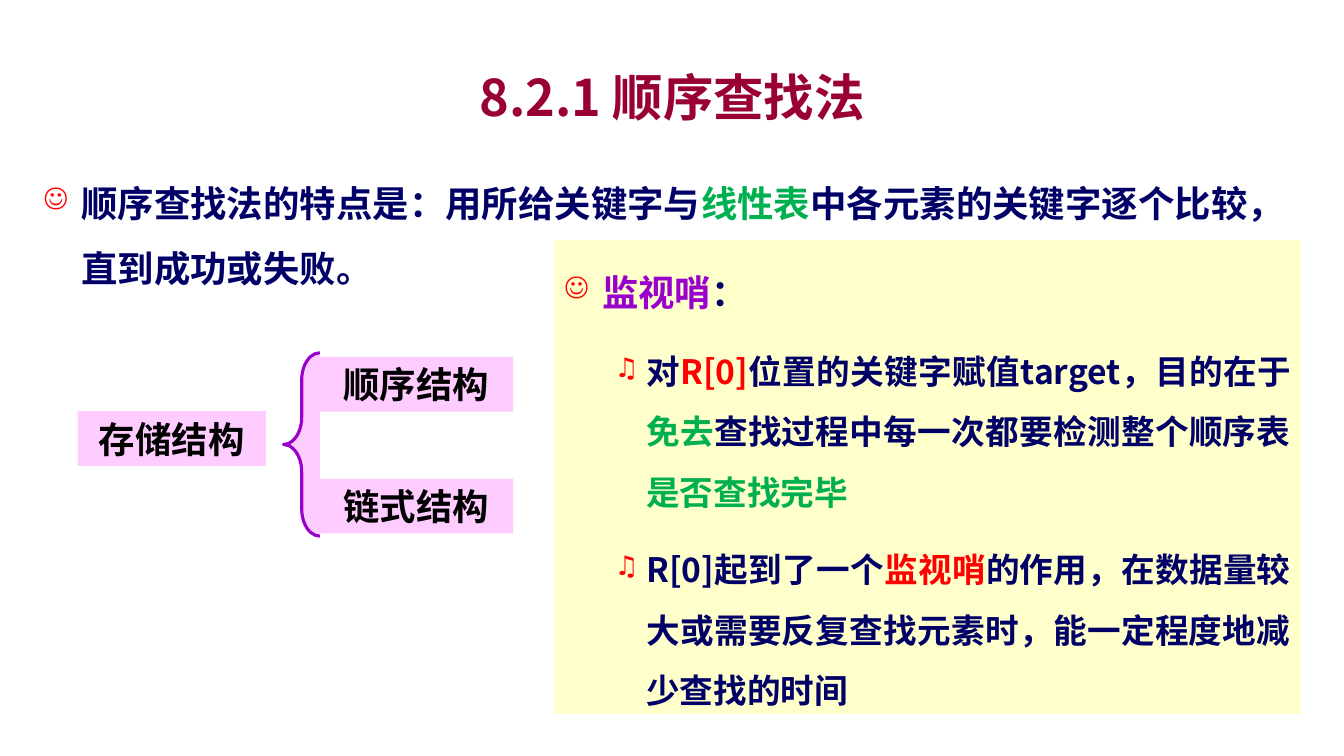
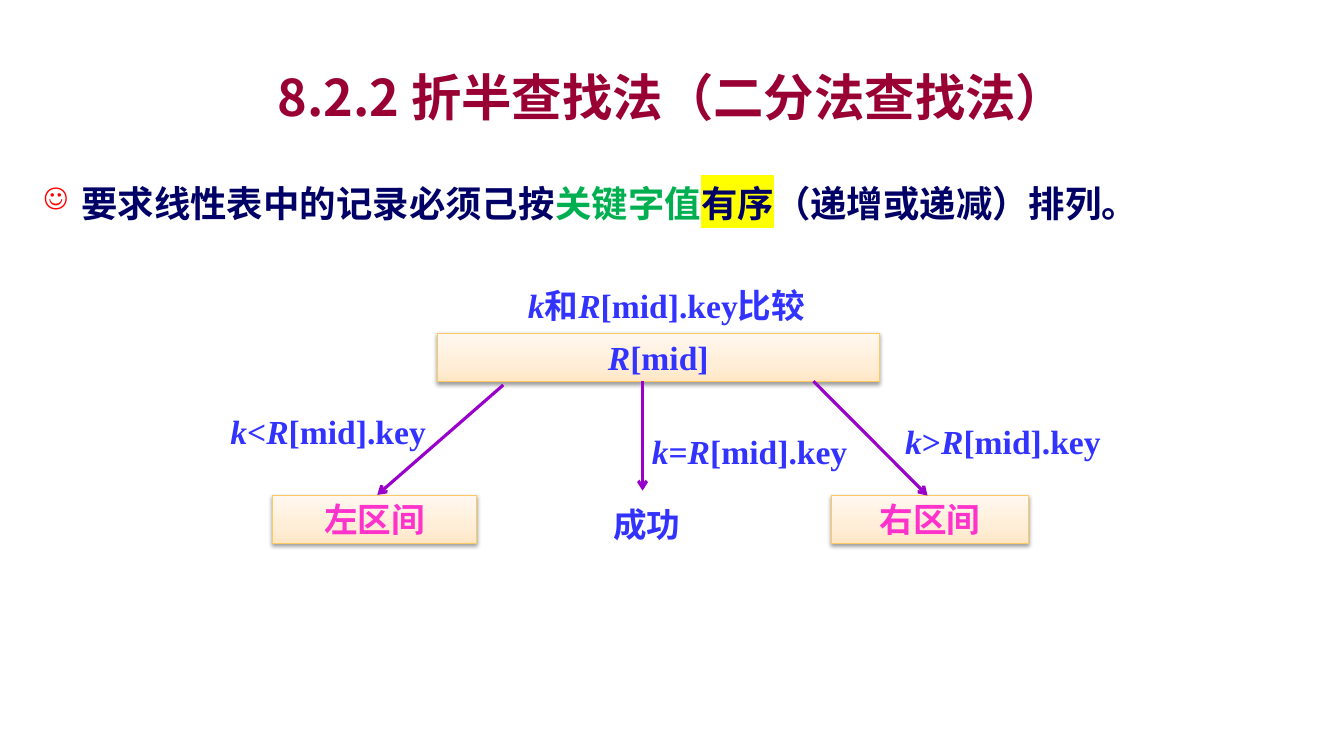
from lxml.etree import SubElement
from pptx import Presentation
from pptx.dml.color import RGBColor
from pptx.enum.shapes import MSO_CONNECTOR, MSO_SHAPE
from pptx.enum.text import MSO_ANCHOR, PP_ALIGN
from pptx.oxml.ns import qn
from pptx.util import Pt

SANS, SERIF = "Noto Sans CJK SC", "Times New Roman"
NAVY, GREEN, RED, PURPLE = "000066", "00B050", "FF0000", "9900CC"
CRIMSON, BLUE, MAGENTA, BLACK = "990033", "3333FF", "FF33CC", "000000"
PINK, CREAM, WHITE, YELLOW, GOLD = "FFCCFF", "FFFFCC", "FFFFFF", "FFFF00", "FDC960"
GRADIENT = ((0, "FFE7C6"), (35, "FFEED7"), (100, "FFF8F0"))


def color(value):
    """Turn a hex string into a colour."""
    return RGBColor.from_string(value)


def element(parent, tag, **attributes):
    """Append a drawing element whose attributes are given as keywords."""
    return SubElement(parent, qn(tag), {key: str(value) for key, value in attributes.items()})


def text(words, **style):
    """Pair words with their format."""
    return words, style


def add_span(paragraph, words, size=26, font=SANS, fill=NAVY, italic=False, highlight=None):
    """Add one formatted bold span to a paragraph."""
    span = paragraph.add_run()
    span.text = words
    span.font.size, span.font.name = Pt(size), font
    span.font.bold, span.font.italic = True, italic
    span.font.color.rgb = color(fill)
    properties = span.font._element
    east_asian = element(properties, "a:ea", typeface=SANS)
    properties.find(qn("a:latin")).addnext(east_asian)
    if highlight:
        marker = element(properties, "a:highlight")
        element(marker, "a:srgbClr", val=highlight)
        properties.find(qn("a:solidFill")).addnext(marker)


def formula(start, *parts):
    """Alternate italic and upright serif spans."""
    return [text(words, size=24, font=SERIF, fill=BLUE, italic=index % 2 == 0)
            for index, words in enumerate((start, *parts))]


class Lecture:
    """Hold the deck style and the current page."""

    def __init__(self):
        """Open a wide deck."""
        self.deck = Presentation()
        self.deck.slide_width, self.deck.slide_height = Pt(960), Pt(540)
        self.page = None

    def new_page(self, title):
        """Start a blank page with its title."""
        self.page = self.deck.slides.add_slide(self.deck.slide_layouts[6])
        self.label(72, 42, 816, 54, [text(title, size=36, fill=CRIMSON)], PP_ALIGN.CENTER)

    def fill_frame(self, box, spans, align, inset=(7.2, 3.6)):
        """Write one paragraph in the middle of a box."""
        frame = box.text_frame
        frame.word_wrap, frame.vertical_anchor = True, MSO_ANCHOR.MIDDLE
        frame.margin_left = frame.margin_right = Pt(inset[0])
        frame.margin_top = frame.margin_bottom = Pt(inset[1])
        frame.paragraphs[0].alignment = align
        for words, style in spans:
            add_span(frame.paragraphs[0], words, **style)

    def label(self, left, top, width, height, spans, align=PP_ALIGN.LEFT):
        """Place a plain text box."""
        box = self.page.shapes.add_textbox(Pt(left), Pt(top), Pt(width), Pt(height))
        self.fill_frame(box, spans, align)

    def shape(self, kind, left, top, width, height, fill, line=None, weight=2.25):
        """Place a flat preset shape."""
        box = self.page.shapes.add_shape(kind, Pt(left), Pt(top), Pt(width), Pt(height))
        box.shadow.inherit = False
        box.fill.solid()
        box.fill.fore_color.rgb = color(fill)
        if line:
            box.line.color.rgb = color(line)
            box.line.width = Pt(weight)
        else:
            box.line.fill.background()
        return box

    def node(self, left, top, width, words):
        """Place a pink box with a centred name."""
        box = self.shape(MSO_SHAPE.RECTANGLE, left, top, width, 39, PINK)
        self.fill_frame(box, [text(words, fill=BLACK)], PP_ALIGN.CENTER, (7.2, 0))

    def brace(self, left, top, width, height):
        """Place a left brace."""
        brace = self.shape(MSO_SHAPE.LEFT_BRACE, left, top, width, height, PINK, PURPLE)
        brace.adjustments[0] = 0.75

    def card(self, left, top, width, spans):
        """Place a shaded box with a gradient and a soft shadow."""
        box = self.shape(MSO_SHAPE.RECTANGLE, left, top, width, 34, WHITE, GOLD, 0.75)
        properties = box._element.spPr
        gradient = element(properties, "a:gradFill", rotWithShape=1)
        stops = element(gradient, "a:gsLst")
        for position, tint in GRADIENT:
            element(element(stops, "a:gs", pos=position * 1000), "a:srgbClr", val=tint)
        element(gradient, "a:lin", ang=270 * 60000, scaled=0)
        properties.replace(properties.find(qn("a:solidFill")), gradient)
        shadow = element(properties.find(qn("a:effectLst")), "a:outerShdw", blurRad=Pt(3.1),
                         dist=Pt(1.6), dir=90 * 60000, rotWithShape=0)
        element(element(shadow, "a:srgbClr", val=BLACK), "a:alpha", val=38000)
        self.fill_frame(box, spans, PP_ALIGN.CENTER, (7.2, 0))

    def arrow(self, start, end):
        """Draw a purple arrow between two points."""
        points = [Pt(value) for value in (*start, *end)]
        arrow = self.page.shapes.add_connector(MSO_CONNECTOR.STRAIGHT, *points)
        arrow.line.color.rgb, arrow.line.width = color(PURPLE), Pt(2.25)
        properties = arrow._element.spPr
        element(properties.find(qn("a:ln")), "a:tailEnd", type="arrow")
        element(properties, "a:effectLst")

    def bullets(self, left, top, width, height, items, fill=None):
        """Write a bulleted list of (level, spans) items."""
        if fill:
            box = self.shape(MSO_SHAPE.RECTANGLE, left, top, width, height, fill)
        else:
            box = self.page.shapes.add_textbox(Pt(left), Pt(top), Pt(width), Pt(height))
        frame = box.text_frame
        frame.word_wrap, frame.vertical_anchor = True, MSO_ANCHOR.TOP
        frame.margin_top = Pt(6)
        for index, (level, spans) in enumerate(items):
            paragraph = frame.add_paragraph() if index else frame.paragraphs[0]
            mark, indent, hanging, pitch, align = (
                ("♫", 58.5, 22.5, 43.25, PP_ALIGN.JUSTIFY) if level
                else ("☺", 27, 27, 46.5, PP_ALIGN.LEFT))
            properties = paragraph._p.get_or_add_pPr()
            properties.set("marL", str(Pt(indent)))
            properties.set("indent", str(-Pt(hanging)))
            element(element(properties, "a:buClr"), "a:srgbClr", val=RED)
            element(properties, "a:buSzPct", val=80000)
            element(properties, "a:buChar", char=mark)
            paragraph.level, paragraph.alignment = level, align
            paragraph.line_spacing = Pt(pitch)
            paragraph.space_before = Pt(6 if index else 0)
            paragraph.space_after = Pt(6)
            for words, style in spans:
                add_span(paragraph, words, **style)


def sequential_search(lecture):
    """Build the page on sequential search."""
    lecture.new_page("8.2.1 顺序查找法")
    lecture.bullets(24, 108, 912, 102, [(0, [
        text("顺序查找法的特点是：用所给关键字与"), text("线性表", fill=GREEN),
        text("中各元素的关键字逐个比较，直到成功或失败。")])])
    lecture.node(55.5, 293.75, 134.5, "存储结构")
    lecture.brace(202.5, 252, 26, 131)
    for top, words in ((255, "顺序结构"), (342, "链式结构")):
        lecture.node(228.5, top, 138, words)
    lecture.bullets(396, 171.5, 533, 338.5, [
        (0, [text("监视哨", fill=PURPLE), text("：")]),
        (1, [text("对", size=24), text("R[0]", size=24, fill=RED),
             text("位置的关键字赋值target，目的在于", size=24),
             text("免去", size=24, fill=GREEN),
             text("查找过程中每一次都要检测整个顺序表", size=24),
             text("是否查找完毕", size=24, fill=GREEN)]),
        (1, [text("R[0]起到了一个", size=24), text("监视哨", size=24, fill=RED),
             text("的作用，在数据量较大或需要反复查找元素时，能一定程度地减少查找的时间", size=24)]),
    ], CREAM)


def binary_search(lecture):
    """Build the page on binary search."""
    lecture.new_page("8.2.2 折半查找法（二分法查找法）")
    lecture.bullets(24, 108, 912, 78, [(0, [
        text("要求线性表中的记录必须己按"), text("关键字值", fill=GREEN),
        text("有序", highlight=YELLOW), text("（递增或递减）排列。")])])
    lecture.label(370, 200, 232, 36, formula("k", "和", "R", "[mid].key比较"))
    lecture.card(312.5, 238.25, 315.5, formula("R", "[mid]"))
    for left, width, words in ((194.5, 146, "左区间"), (594, 140.5, "右区间")):
        lecture.card(left, 354, width, [text(words, size=24, fill=MAGENTA)])
    for left, top, width, sign in ((157.5, 290, 178.5, "<"), (458.5, 304, 156.5, "="),
                                   (639.5, 297, 175.5, ">")):
        lecture.label(left, top, width, 36, formula("k", sign, "R", "[mid].key"))
    lecture.label(420, 356.5, 84, 36, [text("成功", size=24, fill=BLUE)], PP_ALIGN.CENTER)
    for start, end in (((359.5, 275), (269.5, 353.5)), ((459, 272.25), (459, 350.5)),
                       ((581, 272.25), (662.5, 354))):
        lecture.arrow(start, end)


def main():
    """Build and save the deck."""
    lecture = Lecture()
    sequential_search(lecture)
    binary_search(lecture)
    lecture.deck.save("out.pptx")


if __name__ == "__main__":
    main()
